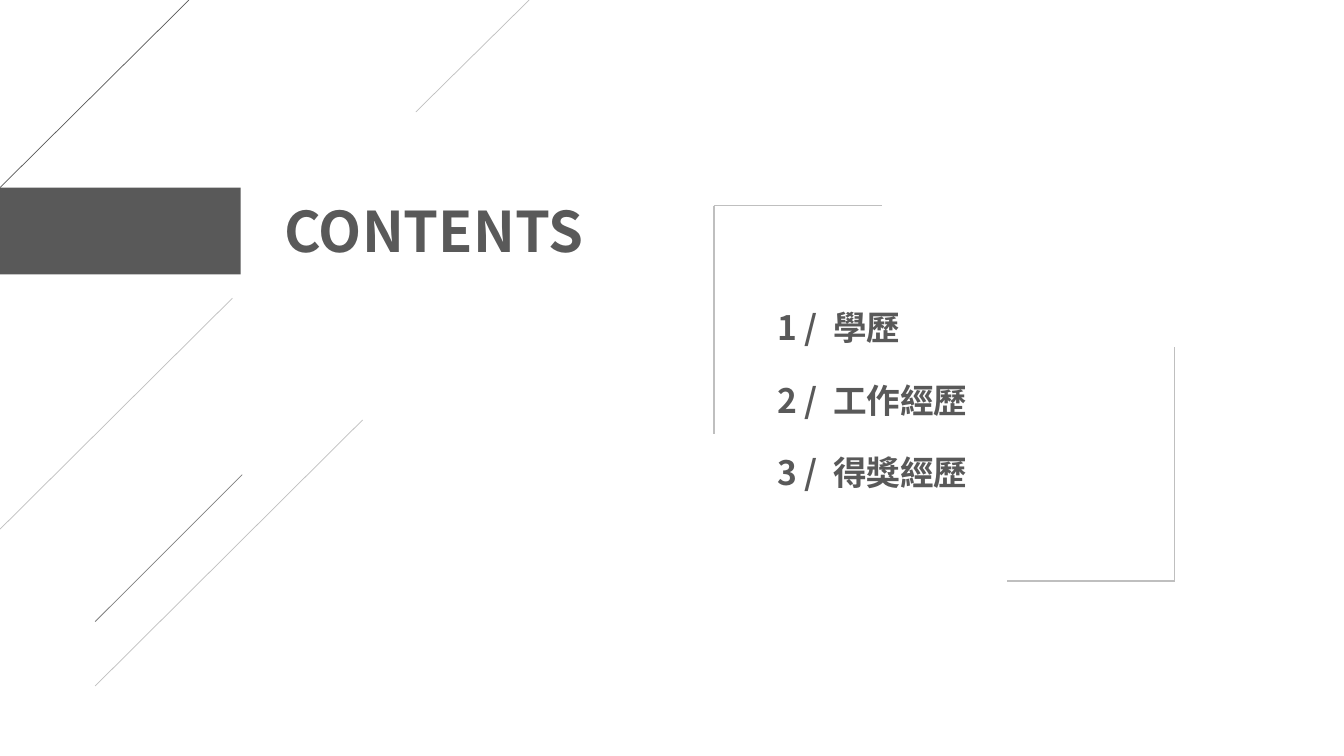
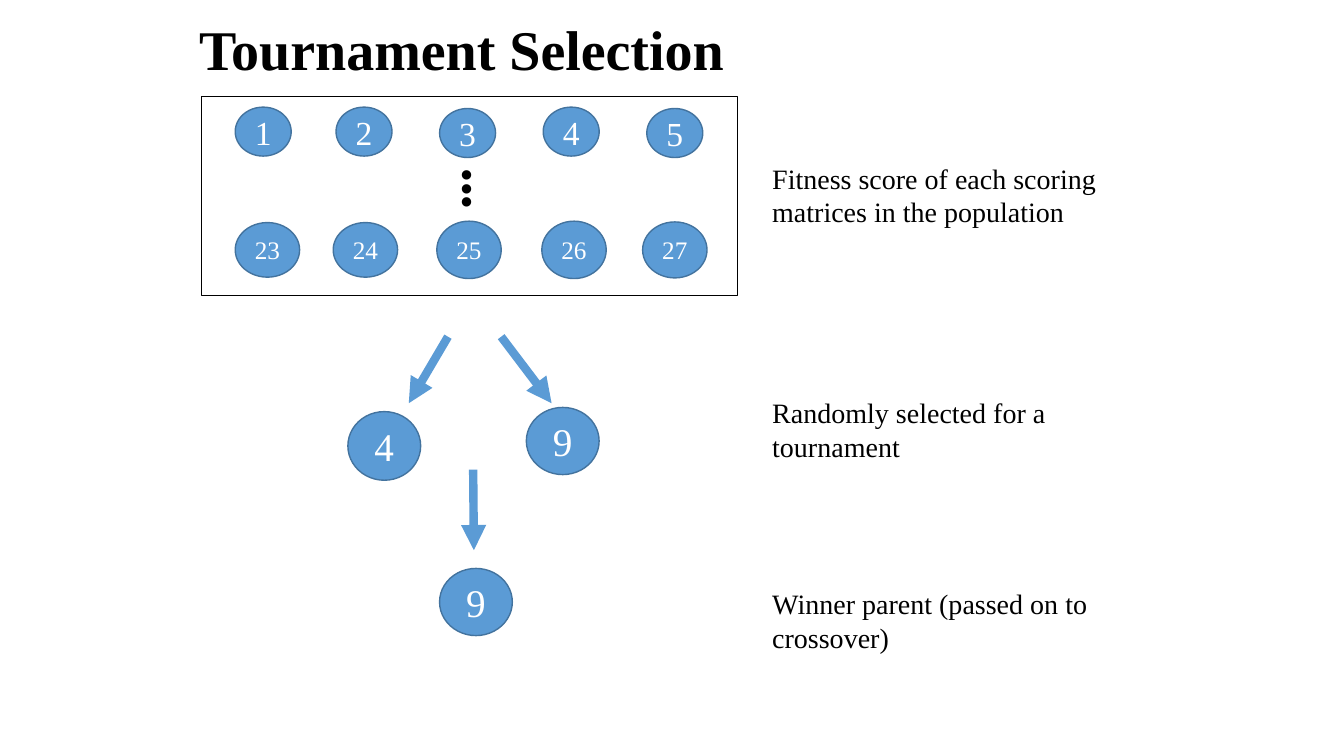
from lxml.etree import SubElement
from pptx import Presentation
from pptx.dml.color import RGBColor
from pptx.enum.shapes import MSO_CONNECTOR as CONNECTOR, MSO_SHAPE as SHAPE
from pptx.enum.text import MSO_ANCHOR as ANCHOR, MSO_AUTO_SIZE as AUTO_SIZE, PP_ALIGN as ALIGN
from pptx.oxml.ns import qn
from pptx.util import Pt

BLACK = RGBColor(0x00, 0x00, 0x00)
WHITE = RGBColor(0xFF, 0xFF, 0xFF)
CHARCOAL = RGBColor(0x59, 0x59, 0x59)
GRAY = RGBColor(0x80, 0x80, 0x80)
SILVER = RGBColor(0xBF, 0xBF, 0xBF)
BLUE = RGBColor(0x5B, 0x9B, 0xD5)
NAVY = RGBColor(0x43, 0x73, 0x9E)
SANS = "Noto Sans CJK SC"
SERIF = "Times New Roman"
TITLE_SIZE = 40


def write(box, text, size, font, color, bold=False, align=ALIGN.LEFT, anchor=ANCHOR.TOP):
    """Put one formatted paragraph into a shape and return the paragraph."""
    frame = box.text_frame
    frame.auto_size = AUTO_SIZE.NONE
    frame.word_wrap = True
    frame.vertical_anchor = anchor
    para = frame.paragraphs[0]
    para.alignment = align
    span = para.add_run()
    span.text = text
    span.font.size = Pt(size)
    span.font.name = font
    span.font.bold = bold
    span.font.color.rgb = color
    SubElement(span.font._element, qn("a:ea"), typeface=font)
    return para


def draw_line(page, start, end, color, width, arrow=False):
    points = [Pt(value) for value in (*start, *end)]
    line = page.shapes.add_connector(CONNECTOR.STRAIGHT, *points)
    line.line.color.rgb = color
    line.line.width = Pt(width)
    if arrow:
        SubElement(line.line._get_or_add_ln(), qn("a:tailEnd"), type="triangle")
    SubElement(line._element.spPr, qn("a:effectLst"))


deck = Presentation()
deck.slide_width = Pt(960)
deck.slide_height = Pt(540)
title_only = deck.slide_layouts[5]

# Contents
page = deck.slides.add_slide(title_only)
title = page.shapes.title
title.left, title.top, title.width, title.height = Pt(196), Pt(137), Pt(245), Pt(55)
write(title, "CONTENTS", TITLE_SIZE, SANS, CHARCOAL, bold=True)

band = page.shapes.add_shape(SHAPE.RECTANGLE, Pt(0), Pt(134), Pt(172), Pt(62))
band.shadow.inherit = False
band.fill.solid()
band.fill.fore_color.rgb = CHARCOAL
band.line.fill.background()

diagonals = [
    ((135, 0), (0, 134), CHARCOAL),
    ((378, 0), (297, 80), SILVER),
    ((166, 213), (0, 378), SILVER),
    ((259, 300), (68, 490), SILVER),
    ((173, 339), (68, 444), GRAY),
]
for start, end, color in diagonals:
    draw_line(page, start, end, color, 0.5)

# Each bracket is a corner with one horizontal and one vertical arm
for corner_x, corner_y, arm_x, arm_y in [(510, 147, 120, 163), (839, 415, -120, -167)]:
    corner = (corner_x, corner_y)
    draw_line(page, corner, (corner_x + arm_x, corner_y), SILVER, 1)
    draw_line(page, corner, (corner_x, corner_y + arm_y), SILVER, 1)

for index, topic in enumerate(["學歷", "工作經歷", "得獎經歷"]):
    box = page.shapes.add_textbox(Pt(548), Pt(216 + 51.5 * index), Pt(253), Pt(36))
    para = write(box, f"{index + 1} /\t{topic}", 24, SANS, CHARCOAL, bold=True)
    tabs = SubElement(para._p.get_or_add_pPr(), qn("a:tabLst"))
    SubElement(tabs, qn("a:tab"), pos=str(Pt(40)), algn="l")

# Tournament selection
page = deck.slides.add_slide(title_only)
title = page.shapes.title
title.left, title.top, title.width, title.height = Pt(135), Pt(7), Pt(690), Pt(55)
write(title, "Tournament Selection", TITLE_SIZE, SERIF, BLACK, bold=True)

population = page.shapes.add_shape(SHAPE.RECTANGLE, Pt(144), Pt(69), Pt(383), Pt(142))
population.shadow.inherit = False
population.fill.solid()
population.fill.fore_color.rgb = WHITE
population.line.color.rgb = BLACK
population.line.width = Pt(1)

# Label, left, top, width, height, text size
circles = [
    ("1", 168, 76.5, 40, 35, 24),
    ("2", 240, 76.5, 40, 35, 24),
    ("3", 314, 77.5, 40, 35, 24),
    ("4", 388, 76.5, 40, 35, 24),
    ("5", 462, 77.5, 40, 35, 24),
    ("23", 168, 159, 46, 39, 18),
    ("24", 238, 159, 46, 39, 18),
    ("25", 312, 158, 46, 41, 18),
    ("26", 387, 158, 46, 41, 18),
    ("27", 459, 158.5, 46, 40, 18),
    ("4", 248.5, 294, 52, 49, 28),
    ("9", 376, 291, 52, 48, 28),
    ("9", 314, 406, 52, 48, 28),
]
for label, left, top, width, height, size in circles:
    circle = page.shapes.add_shape(SHAPE.OVAL, Pt(left), Pt(top), Pt(width), Pt(height))
    circle.shadow.inherit = False
    circle.fill.solid()
    circle.fill.fore_color.rgb = BLUE
    circle.line.color.rgb = NAVY
    circle.line.width = Pt(1)
    frame = circle.text_frame
    frame.margin_left = frame.margin_right = frame.margin_top = frame.margin_bottom = 0
    write(circle, label, size, SERIF, WHITE, align=ALIGN.CENTER, anchor=ANCHOR.MIDDLE)

dots = page.shapes.add_textbox(Pt(313), Pt(114.5), Pt(44), Pt(41))
dots.rotation = 90
write(dots, "•••", 28, SERIF, BLACK, align=ALIGN.CENTER)
dots.text_frame.word_wrap = False

for start, end in [((320, 240.5), (292, 288)), ((358, 240.5), (394, 288)), ((338, 335.5), (338.5, 393))]:
    draw_line(page, start, end, BLUE, 6, arrow=True)

captions = [
    ("Fitness score of each scoring matrices in the population", 111.5),
    ("Randomly selected for a tournament", 279),
    ("Winner parent (passed on to crossover)", 415.5),
]
for caption, top in captions:
    box = page.shapes.add_textbox(Pt(544.5), Pt(top), Pt(277), Pt(55))
    write(box, caption, 20, SERIF, BLACK)

deck.save("out.pptx")
